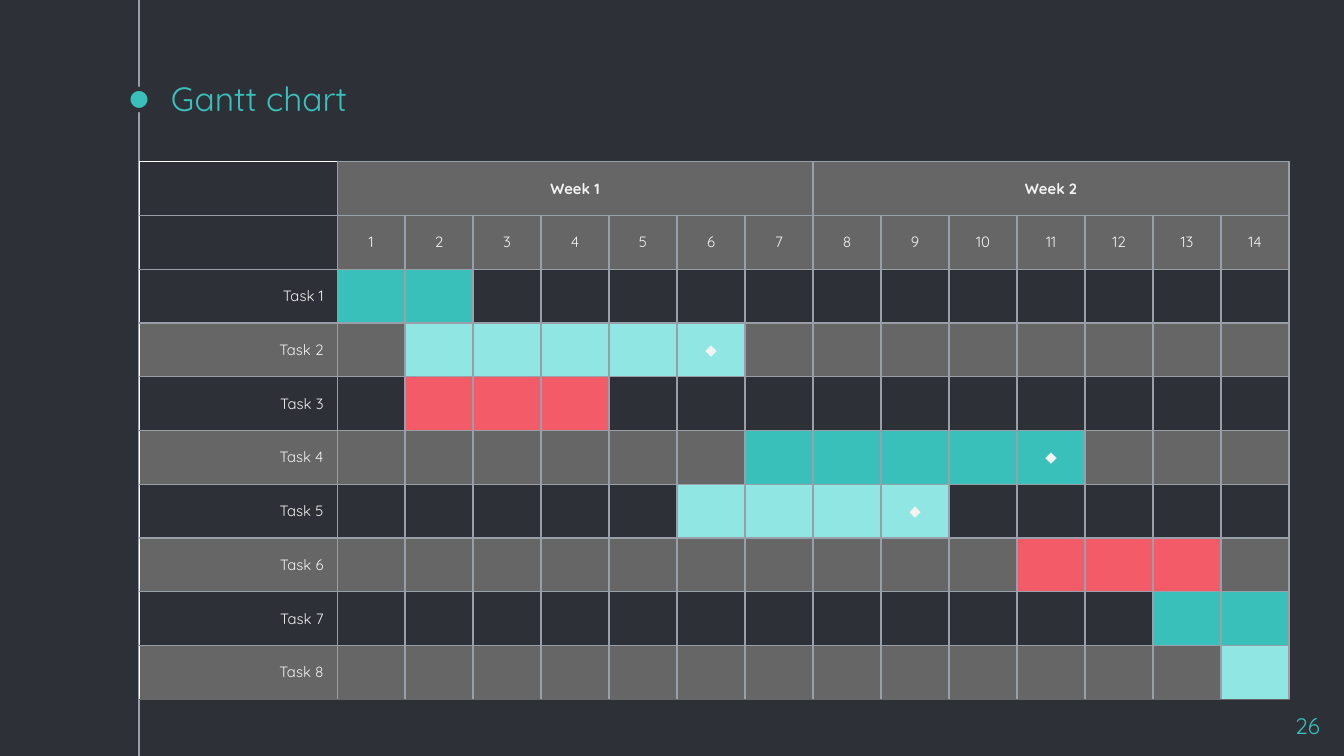
from lxml.etree import SubElement
from pptx import Presentation
from pptx.dml.color import RGBColor
from pptx.enum.shapes import MSO_CONNECTOR, MSO_SHAPE
from pptx.enum.text import MSO_ANCHOR, MSO_AUTO_SIZE, PP_ALIGN
from pptx.oxml.ns import qn
from pptx.util import Pt

DARK = RGBColor(0x2E, 0x30, 0x37)
RULE = RGBColor(0x99, 0x9F, 0xA9)
TEAL = RGBColor(0x39, 0xC0, 0xBA)
AQUA = RGBColor(0x90, 0xE6, 0xE2)
RED = RGBColor(0xF3, 0x5B, 0x69)
GRAY = RGBColor(0x66, 0x66, 0x66)
PALE = RGBColor(0xF3, 0xF3, 0xF3)
WHITE = RGBColor(0xFF, 0xFF, 0xFF)
FONT = "Quicksand"

WEEKS = 2
WEEK_DAYS = 7
DAYS = WEEKS * WEEK_DAYS
HEADER_ROWS = 2
LABEL_WIDTH = 106

# First day, last day, bar colour, milestone day
TASKS = [
    (1, 2, TEAL, None),
    (2, 6, AQUA, 6),
    (2, 4, RED, None),
    (7, 11, TEAL, 11),
    (6, 9, AQUA, 9),
    (11, 13, RED, None),
    (13, 14, TEAL, None),
    (14, 14, AQUA, None),
]


def add_run(paragraph, text, size, color, align, bold=False):
    paragraph.alignment = align
    run = paragraph.add_run()
    run.text = text
    run.font.name = FONT
    run.font.size = Pt(size)
    run.font.bold = bold
    run.font.color.rgb = color


def add_timeline(slide, left, top, width, height):
    """Vertical rule at the left of the box, with a dot beside the title."""
    center = left + width / 2
    rule = slide.shapes.add_connector(
        MSO_CONNECTOR.STRAIGHT, Pt(center), Pt(0), Pt(center), Pt(405))
    rule.line.color.rgb = RULE
    rule.line.width = Pt(0.75)
    SubElement(rule._element.spPr, qn("a:effectLst"))

    dot = slide.shapes.add_shape(
        MSO_SHAPE.OVAL, Pt(left), Pt(top), Pt(width), Pt(height))
    dot.shadow.inherit = False
    dot.fill.solid()
    dot.fill.fore_color.rgb = TEAL
    dot.line.color.rgb = DARK
    dot.line.width = Pt(2.25)


def place_title(slide, left, top, width, height):
    title = slide.shapes.title
    title.left, title.top = Pt(left), Pt(top)
    title.width, title.height = Pt(width), Pt(height)
    frame = title.text_frame
    frame.auto_size = MSO_AUTO_SIZE.NONE
    frame.vertical_anchor = MSO_ANCHOR.BOTTOM
    frame.margin_left = frame.margin_right = 0
    frame.margin_top = frame.margin_bottom = Pt(7.2)
    add_run(frame.paragraphs[0], "Gantt chart", 18, TEAL, PP_ALIGN.LEFT)


def add_page_number(slide, left, top, width, height):
    number = slide.shapes.add_textbox(Pt(left), Pt(top), Pt(width), Pt(height))
    frame = number.text_frame
    frame.word_wrap = True
    frame.margin_top = frame.margin_bottom = Pt(7.2)
    frame.margin_left = frame.margin_right = Pt(7.2)
    add_run(frame.paragraphs[0], "26", 12, TEAL, PP_ALIGN.RIGHT)


def set_borders(cell, left, right, top, bottom):
    properties = cell._tc.get_or_add_tcPr()
    sides = {"a:lnL": left, "a:lnR": right, "a:lnT": top, "a:lnB": bottom}
    for tag, color in sides.items():
        line = SubElement(properties, qn(tag), w=str(Pt(0.75)))
        fill = SubElement(line, qn("a:solidFill"))
        SubElement(fill, qn("a:srgbClr"), val=str(color))


def cell_fill(row, day):
    """Colour of a cell, or None where the background shows; day 0 is the label."""
    if row < HEADER_ROWS:
        return GRAY if day else None
    task = row - HEADER_ROWS
    first, last, color, _ = TASKS[task]
    if first <= day <= last:
        return color
    return GRAY if task % 2 else None


def cell_text(row, day):
    if row == 0:
        return f"Week {day // WEEK_DAYS + 1}" if day % WEEK_DAYS == 1 else ""
    if row < HEADER_ROWS:
        return str(day) if day else ""
    task = row - HEADER_ROWS
    if day == 0:
        return f"Task {task + 1}"
    return "◆" if day == TASKS[task][3] else ""


def format_cell(cell, row, day, last_row):
    set_borders(
        cell,
        left=RULE if day else WHITE,
        right=RULE,
        top=WHITE if row == day == 0 else RULE,
        bottom=GRAY if row == last_row else RULE,
    )
    color = cell_fill(row, day)
    if color is None:
        cell.fill.background()
    else:
        cell.fill.solid()
        cell.fill.fore_color.rgb = color

    cell.vertical_anchor = MSO_ANCHOR.MIDDLE
    text = cell_text(row, day)
    if text:
        align = PP_ALIGN.CENTER if day else PP_ALIGN.RIGHT
        add_run(cell.text_frame.paragraphs[0], text, 8, PALE, align, row == 0)
    else:
        cell.margin_top = cell.margin_bottom = 0


def add_gantt(slide, left, top, width, height):
    row_count = HEADER_ROWS + len(TASKS)
    gantt = slide.shapes.add_table(
        row_count, DAYS + 1, Pt(left), Pt(top), Pt(width), Pt(height)).table
    gantt.first_row = gantt.horz_banding = False
    for day, column in enumerate(gantt.columns):
        column.width = Pt((width - LABEL_WIDTH) / DAYS if day else LABEL_WIDTH)
    for row in gantt.rows:
        row.height = Pt(height / row_count)
    for row in range(row_count):
        for day in range(DAYS + 1):
            format_cell(gantt.cell(row, day), row, day, row_count - 1)
    for first in range(1, DAYS + 1, WEEK_DAYS):
        gantt.cell(0, first).merge(gantt.cell(0, first + WEEK_DAYS - 1))


def main():
    deck = Presentation()
    deck.slide_width, deck.slide_height = Pt(720), Pt(405)
    slide = deck.slides.add_slide(deck.slide_layouts[5])
    slide.background.fill.solid()
    slide.background.fill.fore_color.rgb = DARK
    add_timeline(slide, 68.8, 47.6, 11.4, 11.4)
    place_title(slide, 91.5, 43.2, 540, 27.4)
    add_page_number(slide, 671, 374.5, 43.2, 24.5)
    add_gantt(slide, 74.6, 86.6, 616.2, 288)
    deck.save("out.pptx")


if __name__ == "__main__":
    main()
